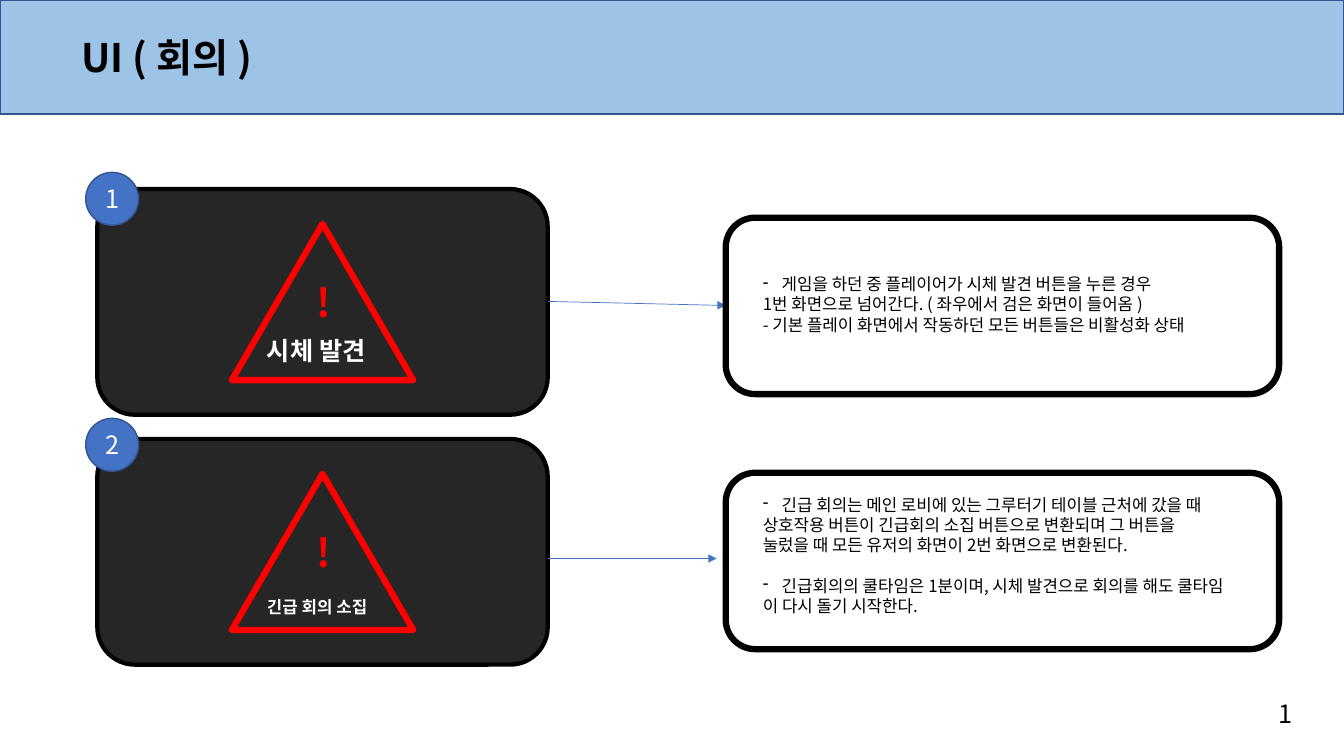
from pptx import Presentation
from pptx.dml.color import RGBColor
from pptx.enum.shapes import MSO_CONNECTOR, MSO_SHAPE
from pptx.enum.text import MSO_ANCHOR, PP_ALIGN
from pptx.oxml.ns import qn
from pptx.util import Pt
from lxml.etree import SubElement

FACE = "Noto Sans CJK KR"
BLACK = RGBColor(0, 0, 0)
WHITE = RGBColor(255, 255, 255)
RED = RGBColor(255, 0, 0)
DARK = RGBColor(0x26, 0x26, 0x26)
SKY = RGBColor(0x9D, 0xC3, 0xE6)
BLUE = RGBColor(0x44, 0x72, 0xC4)
NAVY = RGBColor(0x32, 0x54, 0x91)

# Offsets are measured from the top of each row's panel.
ROWS = [
    dict(top=135, label="1", badge=-11.9, title="시체 발견", size=18, drop=101.2,
         start=80.3, end=(518.4, 83.2), card=20.5, inset=36.7, gaps={},
         bullets=[0], lines=[
             "게임을 하던 중 플레이어가 시체 발견 버튼을 누른 경우",
             "1번 화면으로 넘어간다. ( 좌우에서 검은 화면이 들어옴 )",
             "- 기본 플레이 화면에서 작동하던 모든 버튼들은 비활성화 상태"]),
    dict(top=313.5, label="2", badge=-14.7, title="긴급 회의 소집", size=12, drop=109.1,
         start=85.4, end=(511.9, 85.4), card=24.2, inset=12.2, gaps={3: 14.4},
         bullets=[0, 3], lines=[
             "긴급 회의는 메인 로비에 있는 그루터기 테이블 근처에 갔을 때",
             "상호작용 버튼이 긴급회의 소집 버튼으로 변환되며 그 버튼을",
             "눌렀을 때 모든 유저의 화면이 2번 화면으로 변환된다.",
             "긴급회의의 쿨타임은 1분이며, 시체 발견으로 회의를 해도 쿨타임",
             "이 다시 돌기 시작한다."]),
]


def style(para, size, color, bold=False):
    form = dict(name=FACE, size=Pt(size), bold=bold)
    for run in para.runs:
        for key, value in form.items():
            setattr(run.font, key, value)
        run.font.color.rgb = color
        SubElement(run.font._element, qn("a:ea"), typeface=FACE)


def dash(para):
    """Give the paragraph a hanging dash bullet."""
    props = para._p.get_or_add_pPr()
    props.set("marL", str(Pt(13.5)))
    props.set("indent", str(-Pt(13.5)))
    SubElement(props, qn("a:buFontTx"))
    SubElement(props, qn("a:buChar"), char="-")


def shape(slide, kind, box, fill, line, width):
    item = slide.shapes.add_shape(kind, *map(Pt, box))
    item.shadow.inherit = False
    if fill is None:
        item.fill.background()
    else:
        item.fill.solid()
        item.fill.fore_color.rgb = fill
    item.line.color.rgb = line
    item.line.width = Pt(width)
    return item


def text(slide, box, lines, size, color, bold=False, wrap=False, bullets=(), gaps=None):
    frame = slide.shapes.add_textbox(*map(Pt, box)).text_frame
    frame.word_wrap = wrap
    for i, line in enumerate(lines):
        para = frame.paragraphs[0] if i == 0 else frame.add_paragraph()
        para.text = line
        if i in bullets:
            dash(para)
        if gaps and i in gaps:
            para.space_before = Pt(gaps[i])
        style(para, size, color, bold)


def arrow(slide, start, end):
    item = slide.shapes.add_connector(MSO_CONNECTOR.STRAIGHT, *map(Pt, start + end))
    item.line.color.rgb = BLUE
    item.line.width = Pt(0.5)
    SubElement(item.line._get_or_add_ln(), qn("a:tailEnd"), type="triangle")
    SubElement(item._element.spPr, qn("a:effectLst"))


def header(slide, width):
    shape(slide, MSO_SHAPE.RECTANGLE, (0, 0, width, 81.4), SKY, NAVY, 1)
    text(slide, (51.1, 20.2, 487.4, 41), ["UI ( 회의 )"], 28, BLACK, True, True)


def panel(slide, left, top, row):
    """Dark game screen with its warning sign and number badge."""
    shape(slide, MSO_SHAPE.ROUNDED_RECTANGLE, (left, top, 321.8, 161.3), DARK, BLACK, 3)
    text(slide, (left + 149.4, top + 60.1, 23.8, 41), ["!"], 28, RED, True)
    text(slide, (left + 114.1, top + row["drop"], 95, 29), [row["title"]],
         row["size"], WHITE, True)
    shape(slide, MSO_SHAPE.ISOSCELES_TRIANGLE, (left + 96.1, top + 24.9, 129.6, 111.6),
          None, RED, 4.5)
    badge = shape(slide, MSO_SHAPE.OVAL, (left - 8.3, top + row["badge"], 37.8, 37.8),
                  BLUE, NAVY, 1)
    frame = badge.text_frame
    frame.vertical_anchor = MSO_ANCHOR.MIDDLE
    para = frame.paragraphs[0]
    para.text = row["label"]
    para.alignment = PP_ALIGN.CENTER
    style(para, 18, WHITE)


def card(slide, left, top, row):
    """White box that explains the screen."""
    shape(slide, MSO_SHAPE.ROUNDED_RECTANGLE, (left, top, 395.3, 126), None, BLACK, 4.5)
    text(slide, (left + 19.4, top + row["inset"], 370, 51), row["lines"], 12, BLACK,
         bullets=row["bullets"], gaps=row["gaps"])


def main():
    deck = Presentation()
    deck.slide_width, deck.slide_height = Pt(960), Pt(540)
    slide = deck.slides.add_slide(deck.slide_layouts[6])
    header(slide, 960)
    for row in ROWS:
        top = row["top"]
        panel(slide, 69.5, top, row)
        x, y = row["end"]
        arrow(slide, (391.7, top + row["start"]), (x, top + y))
        card(slide, 518.4, top + row["card"], row)
    text(slide, (906.5, 495.4, 24.5, 29), ["1"], 18, BLACK)
    deck.save("out.pptx")


if __name__ == "__main__":
    main()
